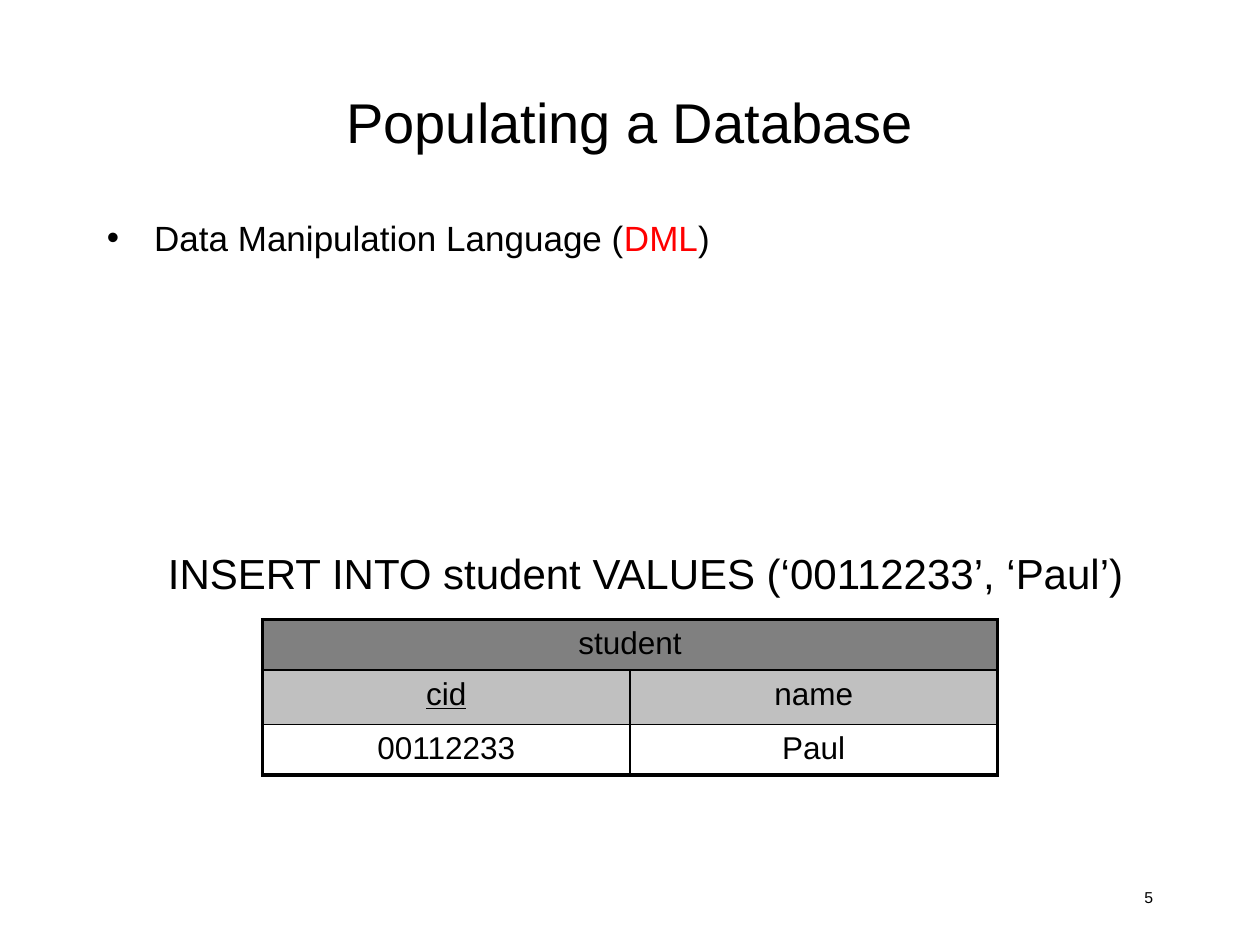
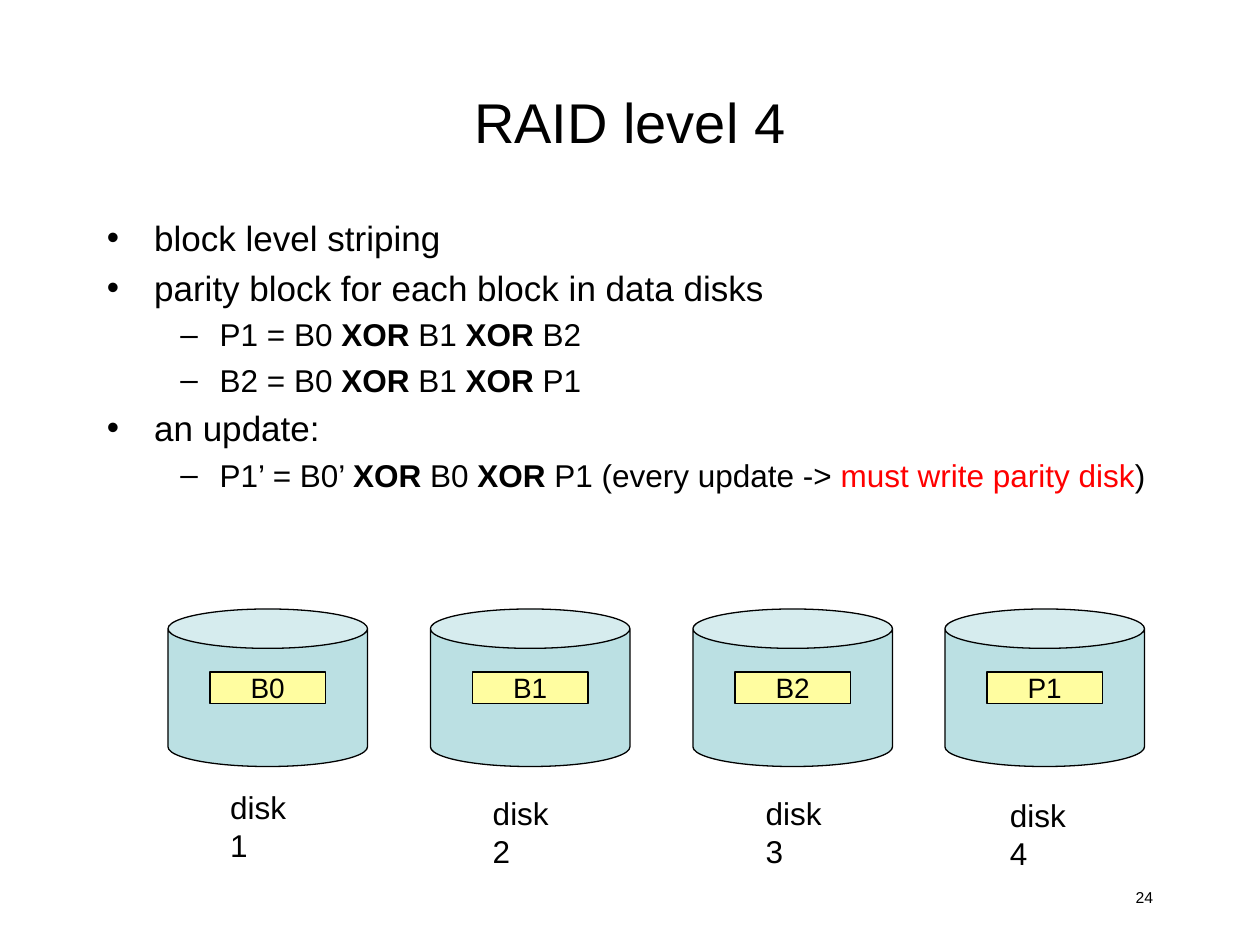
from lxml import etree
from pptx import Presentation
from pptx.dml.color import RGBColor
from pptx.enum import shapes, text
from pptx.oxml import ns
from pptx.util import Pt

BLACK = RGBColor(0, 0, 0)
RED = RGBColor(0xFF, 0, 0)
GRAY = RGBColor(0x80, 0x80, 0x80)
SILVER = RGBColor(0xC0, 0xC0, 0xC0)
TEAL = RGBColor(0xBB, 0xE0, 0xE3)
YELLOW = RGBColor(0xFF, 0xFD, 0xA0)
FONT = "Arial"
LEFT, MID, RIGHT = text.PP_ALIGN.LEFT, text.PP_ALIGN.CENTER, text.PP_ALIGN.RIGHT
TOP, CENTER = text.MSO_ANCHOR.TOP, text.MSO_ANCHOR.MIDDLE
LEVELS = [(20, 27, "•"), (18, 64.5, "–")]
HANG = [27, 22.5]


def write(para, runs, size, align=LEFT):
    para.alignment = align
    for words, mark in runs:
        run = para.add_run()
        run.text = words
        look = {"name": FONT, "size": Pt(size), "bold": mark == "bold",
                "underline": mark == "line"}
        for key, value in look.items():
            setattr(run.font, key, value)
        run.font.color.rgb = RED if mark == "red" else BLACK


def label(slide, area, words, size, align=LEFT, anchor=TOP, wrap=True):
    frame = slide.shapes.add_textbox(*map(Pt, area)).text_frame
    frame.word_wrap = wrap
    frame.vertical_anchor = anchor
    if words:
        write(frame.paragraphs[0], [(words, "")], size, align)
    return frame


deck = Presentation()
deck.slide_width, deck.slide_height = Pt(720), Pt(540)

XOR = ("XOR", "bold")
pages = [
    ("Populating a Database", "5", [
        (0, [("Data Manipulation Language (", ""), ("DML", "red"), (")", "")]),
    ]),
    ("RAID level 4", "24", [
        (0, [("block level striping", "")]),
        (0, [("parity block for each block in data disks", "")]),
        (1, [("P1 = B0 ", ""), XOR, (" B1 ", ""), XOR, (" B2", "")]),
        (1, [("B2 = B0 ", ""), XOR, (" B1 ", ""), XOR, (" P1", "")]),
        (0, [("an update:", "")]),
        (1, [("P1’ = B0’ ", ""), XOR, (" B0 ", ""), XOR,
             (" P1 (every update -> ", ""), ("must write parity disk", "red"), (")", "")]),
    ]),
]
slides = []
for title, number, points in pages:
    slide = deck.slides.add_slide(deck.slide_layouts[6])
    slides.append(slide)
    label(slide, (516, 504, 150, 24), number, 9, RIGHT)
    label(slide, (54, 24, 612, 90), title, 32, MID, CENTER)
    body = label(slide, (54, 120, 612, 372), "", 20)
    for n, (level, runs) in enumerate(points):
        para = body.add_paragraph() if n else body.paragraphs[0]
        size, indent, sign = LEVELS[level]
        write(para, runs, size)
        para.level = level
        para.space_before = Pt(size * 0.23)
        props = para._p.get_or_add_pPr()
        props.set("marL", str(Pt(indent)))
        props.set("indent", str(-Pt(HANG[level])))
        etree.SubElement(props, ns.qn("a:buFont"), typeface=FONT)
        etree.SubElement(props, ns.qn("a:buChar"), char=sign)

data, raid = slides

grid = data.shapes.add_table(3, 2, Pt(150), Pt(354), Pt(420), Pt(89)).table
grid.first_row = grid.horz_banding = False
for col in grid.columns:
    col.width = Pt(210)
rows = [
    (29, GRAY, [("student", "")]),
    (31, SILVER, [("cid", "line"), ("name", "")]),
    (29, None, [("00112233", ""), ("Paul", "")]),
]
grid.cell(0, 0).merge(grid.cell(0, 1))
for r, (height, shade, words) in enumerate(rows):
    grid.rows[r].height = Pt(height)
    for c in range(2):
        cell = grid.cell(r, c)
        if c < len(words):
            write(cell.text_frame.paragraphs[0], [words[c]], 18, MID)
        outer = {"L": c == 0 or r == 0, "R": c == 1 or r == 0, "T": r == 0, "B": r == 2}
        props = cell._tc.get_or_add_tcPr()
        for side, thick in outer.items():
            edge = etree.SubElement(props, ns.qn("a:ln" + side), w=str(Pt(2.25 if thick else 1)))
            fill = etree.SubElement(edge, ns.qn("a:solidFill"))
            etree.SubElement(fill, ns.qn("a:srgbClr"), val=str(BLACK))
        if shade:
            cell.fill.solid()
            cell.fill.fore_color.rgb = shade
        else:
            cell.fill.background()

label(data, (72, 306, 594, 42), "INSERT INTO student VALUES (‘00112233’, ‘Paul’)",
      24, MID, CENTER, False)

disks = [(96, "B0", 124.5, 447), (246, "B1", 274.5, 450),
         (396, "B2", 430.5, 450), (540, "P1", 570, 451.5)]
for n, (left, block, x, y) in enumerate(disks, 1):
    can = raid.shapes.add_shape(shapes.MSO_SHAPE.CAN, Pt(left), Pt(348), Pt(114), Pt(90))
    box = raid.shapes.add_shape(shapes.MSO_SHAPE.RECTANGLE, Pt(left + 24), Pt(384), Pt(66), Pt(18))
    for shape, shade in ((can, TEAL), (box, YELLOW)):
        shape.shadow.inherit = False
        shape.fill.solid()
        shape.fill.fore_color.rgb = shade
        shape.line.color.rgb = BLACK
        shape.line.width = Pt(0.75)
    box.text_frame.word_wrap = False
    box.text_frame.vertical_anchor = CENTER
    write(box.text_frame.paragraphs[0], [(block, "")], 16, MID)
    label(raid, (x, y, 61, 29), f"disk {n}", 18, wrap=False)

deck.save("out.pptx")
